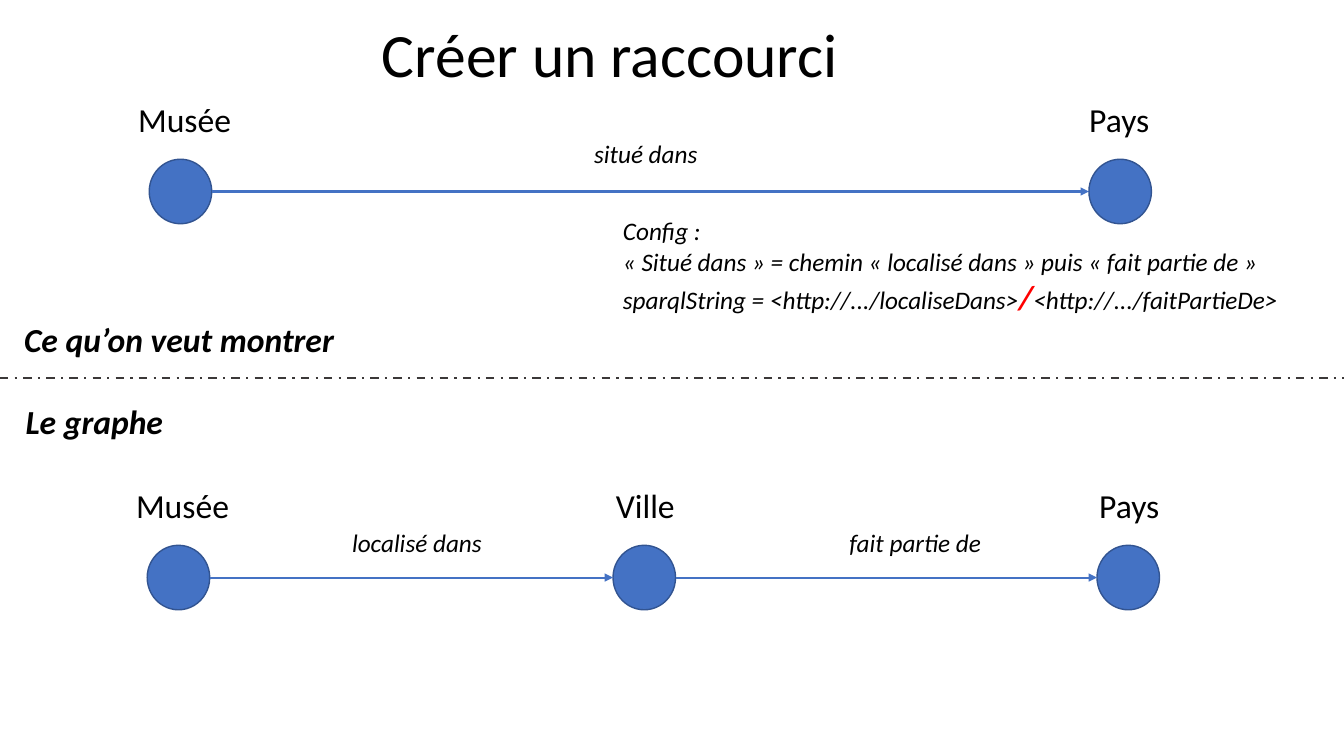
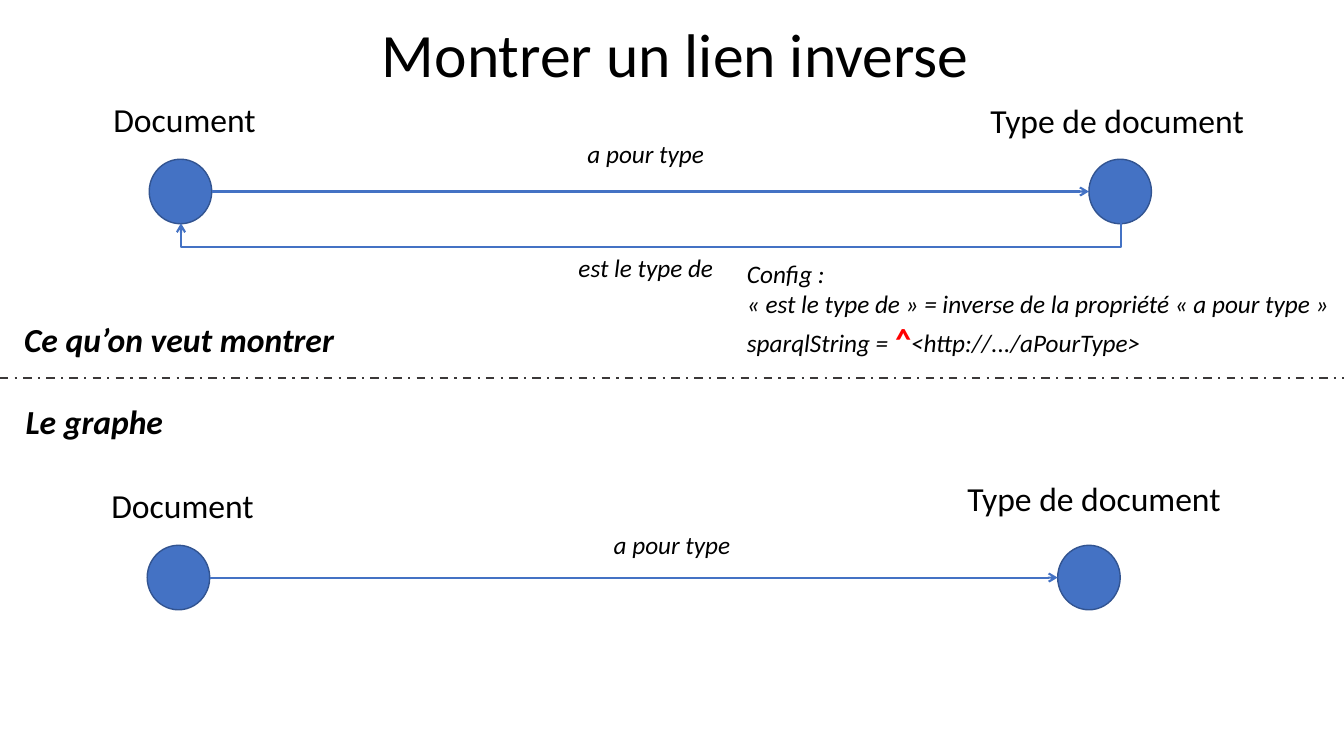
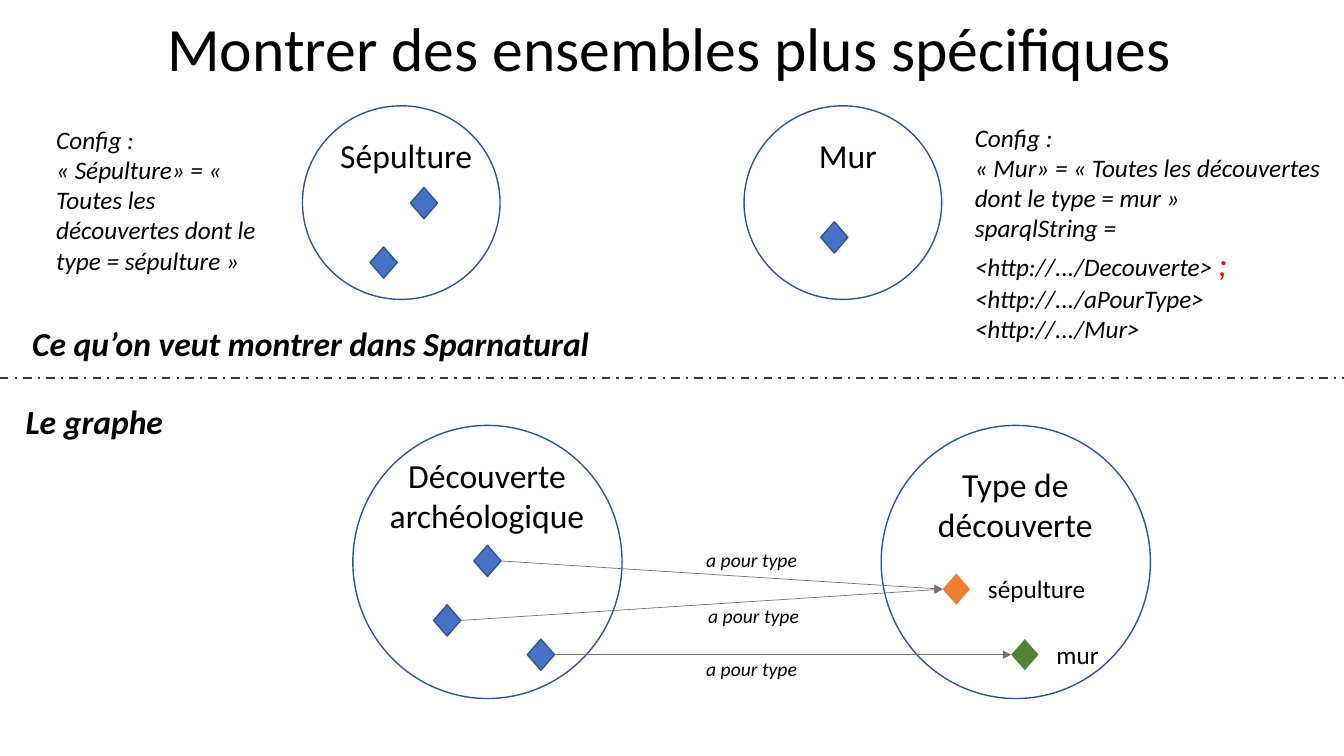
from pptx import Presentation
from pptx import util as u
from pptx.dml.color import RGBColor
from pptx.enum import dml, shapes, text
from pptx.oxml.ns import qn
from lxml import etree

PX = 9144  # one px is a hundredth of an inch
WIDE, HIGH = 1333, 750
FONT = "Calibri"
BLACK, RED, BLUE, NAVY = "000000", "FF0000", "4472C4", "325491"
DARK, GREY, ORANGE, GREEN = "3B3838", "767171", "ED7D31", "548235"
OVAL, GEM = shapes.MSO_SHAPE.OVAL, shapes.MSO_SHAPE.DIAMOND
LEFT, MID = text.PP_ALIGN.LEFT, text.PP_ALIGN.CENTER
NODE_W, NODE_H = 62, 64
GEM_W, GEM_H = 27, 31
TOP, LOW = 158, 541  # rows of nodes above and below the divider


def px(*nums):
    return [u.Emu(n * PX) for n in nums]


def rgb(code):
    return RGBColor.from_string(code)


class Deck:
    def __init__(self):
        self.prs = Presentation()
        self.prs.slide_width, self.prs.slide_height = px(WIDE, HIGH)

    def start(self, title, x, y, goal, goal_x=14, goal_y=311):
        """Add a slide with its title, divider and two section heads."""
        self.slide = self.prs.slides.add_slide(self.prs.slide_layouts[6])
        self.text(title, x, y, 1150, 145, size=44, align=LEFT, space=0.9)
        rule = self.link((0, 375), (WIDE, 375), color=DARK, head=None)
        rule.line.dash_style = dml.MSO_LINE.DASH_DOT
        self.text(goal, goal_x, goal_y, 638, 50, bold=True, italic=True, align=LEFT)
        self.text("Le graphe", -11, 393, 209, 50, bold=True, italic=True)

    def text(self, words, x, y, w, h, size=24, bold=False, italic=False,
             align=MID, space=None, strong=True):
        """Write one paragraph a line; a part between bars is a red accent."""
        frame = self.slide.shapes.add_textbox(*px(x, y, w, h)).text_frame
        frame.word_wrap = True
        for i, line in enumerate(words.split("\n")):
            para = frame.paragraphs[0] if i == 0 else frame.add_paragraph()
            para.alignment = align
            if space:
                para.line_spacing = space
            for j, part in enumerate(line.split("|")):
                accent = j % 2 == 1
                run = para.add_run()
                run.text = part
                font = run.font
                font.name, font.italic = FONT, italic
                font.size = u.Pt(24 if accent else size)
                font.bold = strong if accent else bold
                font.color.rgb = rgb(RED if accent else BLACK)

    def note(self, words, x, y, w, h, **style):
        self.text(words, x, y, w, h, size=18, italic=True, align=LEFT, **style)

    def label(self, words, x, y, size=18):
        self.text(words, x, y, 209, 40, size=size, italic=True)

    def shape(self, kind, x, y, w, h, fill=None, line=NAVY):
        item = self.slide.shapes.add_shape(kind, *px(x, y, w, h))
        item.shadow.inherit = False
        if fill:
            item.fill.solid()
            item.fill.fore_color.rgb = rgb(fill)
        else:
            item.fill.background()
        if line:
            item.line.color.rgb = rgb(line)
            item.line.width = u.Pt(1)
        else:
            item.line.fill.background()
        return item

    def node(self, words, x, y, dx=32, dy=65):
        """Draw a dot and centre its label dx right of x and dy above y."""
        self.shape(OVAL, x, y, NODE_W, NODE_H, BLUE)
        self.text(words, x + dx - 151, y - dy, 302, 50)

    def gem(self, x, y, fill=BLUE, line=NAVY):
        return self.shape(GEM, x, y, GEM_W, GEM_H, fill, line)

    def ring(self, words, x, y, w, h, box):
        self.shape(OVAL, x, y, w, h)
        self.text(words, *box)

    def link(self, start, end, color=BLUE, width=1.5, head="triangle",
             kind=shapes.MSO_CONNECTOR.STRAIGHT):
        item = self.slide.shapes.add_connector(kind, *px(*start, *end))
        item.line.color.rgb = rgb(color)
        item.line.width = u.Pt(width)
        if head:
            line = item.line._get_or_add_ln()
            etree.SubElement(line, qn("a:tailEnd"), type=head)
        etree.SubElement(item._element.spPr, qn("a:effectLst"))
        return item

    def span(self, x1, x2, y, **style):
        """Link the nodes whose left edges are x1 and x2."""
        mid = y + NODE_H // 2
        self.link((x1 + NODE_W, mid), (x2, mid), **style)

    def loop(self, x1, x2, y, drop, head):
        """Run a link from x1 down by drop, across and back up to x2."""
        mid, half = (x1 + x2) // 2, abs(x1 - x2) // 2
        item = self.link((mid, y - half), (mid + 1, y + half), head=head,
                         kind=shapes.MSO_CONNECTOR.ELBOW)
        props = item._element.spPr
        props.find(qn("a:xfrm")).set("rot", "5400000")
        guides = props.find(qn("a:prstGeom")).get_or_add_avLst()
        etree.SubElement(guides, qn("a:gd"), name="adj1",
                         fmla=f"val {drop * 100000}")

    def join(self, a, b):
        item = self.link((0, 0), (1, 1), color=GREY, width=0.5)
        item.begin_connect(a, 3)
        item.end_connect(b, 1)


def shortcut(deck):
    deck.start("Créer un raccourci", 369, 19, "Ce qu’on veut montrer")
    deck.node("Musée", 148, TOP, dx=35)
    deck.node("Pays", 1080, TOP, dx=30)
    deck.span(148, 1080, TOP)
    deck.label("situé dans", 536, 132)
    deck.note("Config :\n"
              "« Situé dans » = chemin « localisé dans » puis « fait partie de »\n"
              "sparqlString = <http://.../localiseDans>|/|<http://.../faitPartieDe>",
              608, 209, 711, 111)
    deck.node("Musée", 146, LOW, dx=35)
    deck.node("Ville", 608, LOW)
    deck.node("Pays", 1088, LOW)
    deck.span(146, 608, LOW)
    deck.span(608, 1088, LOW)
    deck.label("localisé dans", 309, 518)
    deck.label("fait partie de ", 806, 518)


def inverse(deck):
    deck.start("Montrer un lien inverse", 369, 19, "Ce qu’on veut montrer")
    deck.node("Document", 148, TOP, dx=35)
    deck.node("Type de document", 1080, TOP, dx=28, dy=64)
    deck.span(148, 1080, TOP, head="arrow")
    deck.label("a pour type", 536, 132)
    deck.loop(1112, 179, 221, 25, "arrow")
    deck.label("est le type de", 536, 245)
    deck.note("Config :\n"
              "« est le type de » = inverse de la propriété « a pour type »\n"
              "sparqlString = |^|<http://.../aPourType>",
              731, 251, 711, 111)
    deck.node("Document", 146, LOW, dx=35)
    deck.node("Type de document", 1049, LOW, dx=36, dy=72)
    deck.span(146, 1049, LOW, head="arrow")
    deck.label("a pour type", 562, 520)


def subsets(deck):
    deck.start("Montrer des ensembles plus spécifiques", 156, 13,
               "Ce qu’on veut montrer dans Sparnatural", 22, 315)
    for words, x in (("Sépulture", 300), ("Mur", 738)):
        deck.ring(words, x, 105, 196, 192, (x + 6, 129, 194, 50))
    for x, y in ((367, 245), (407, 186), (814, 220)):
        deck.gem(x, y)
    deck.note("Config :\n"
              "« Sépulture» = « Toutes les découvertes dont le type = sépulture »",
              46, 118, 236, 162)
    deck.note("Config :\n"
              "« Mur» = « Toutes les découvertes dont le type = mur »\n"
              "sparqlString = <http://.../Decouverte> |;| <http://.../aPourType>"
              " <http://.../Mur>",
              957, 116, 397, 232, strong=False)

    for words, x, y in (("Découverte archéologique", 350, 446),
                        ("Type de découverte", 874, 455)):
        deck.ring(words, x, 422, 267, 271, (x + 17, y, 232, 91))
    finds = [deck.gem(x, y) for x, y in ((470, 541), (430, 600), (523, 634))]
    kinds = []
    for words, x, y, fill in (("sépulture", 935, 569, ORANGE),
                              ("mur", 1003, 634, GREEN)):
        kinds.append(deck.gem(x, y, fill, None))
        deck.text(words, x + 35, y - 5, 232, 40, size=18, align=LEFT)
    tomb, wall = kinds
    for find, kind in zip(finds, (tomb, tomb, wall)):
        deck.join(find, kind)
    for x, y in ((641, 539), (643, 594), (641, 647)):
        deck.label("a pour type", x, y, size=14)


def main():
    deck = Deck()
    for build in (shortcut, inverse, subsets):
        build(deck)
    deck.prs.save("out.pptx")


if __name__ == "__main__":
    main()
